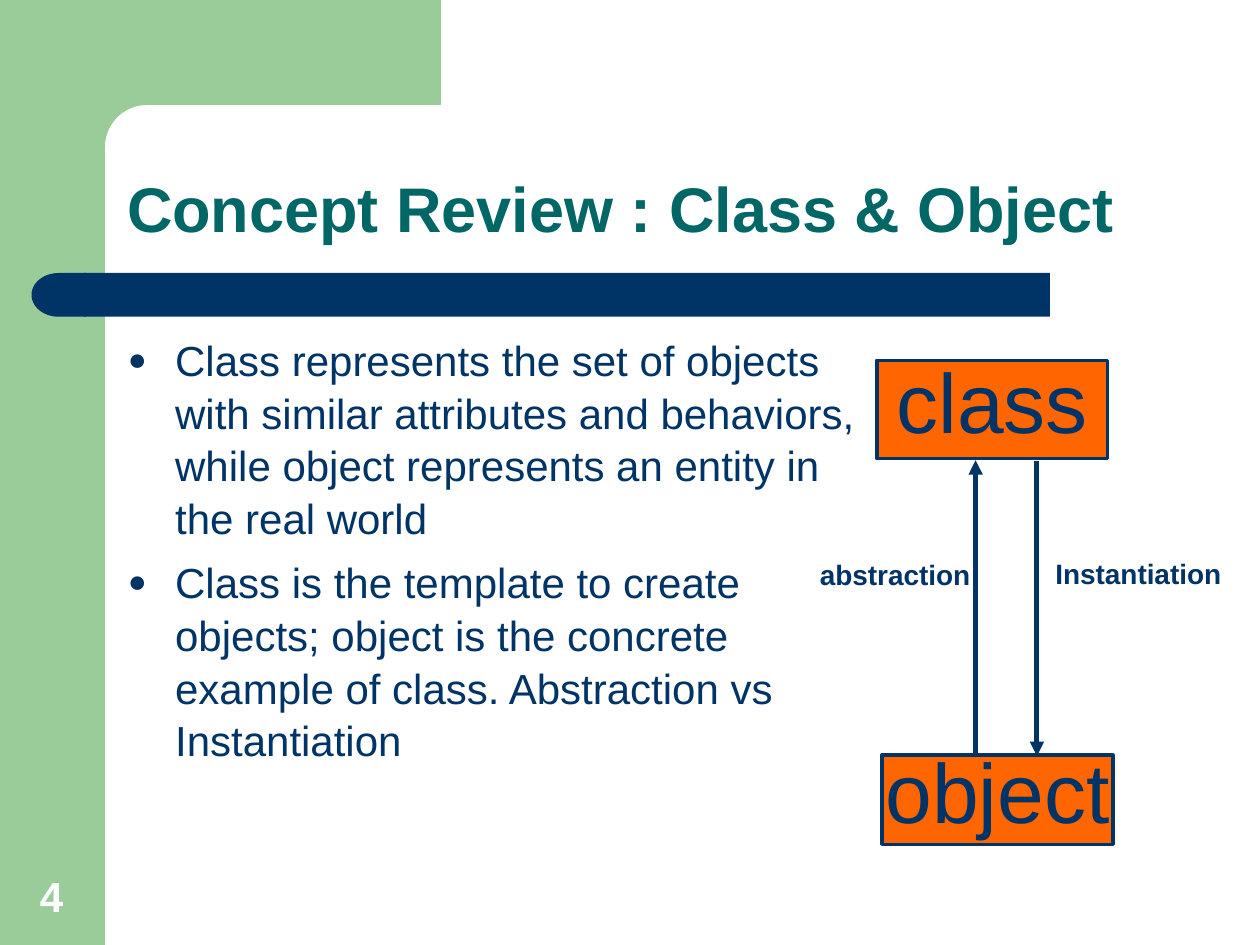
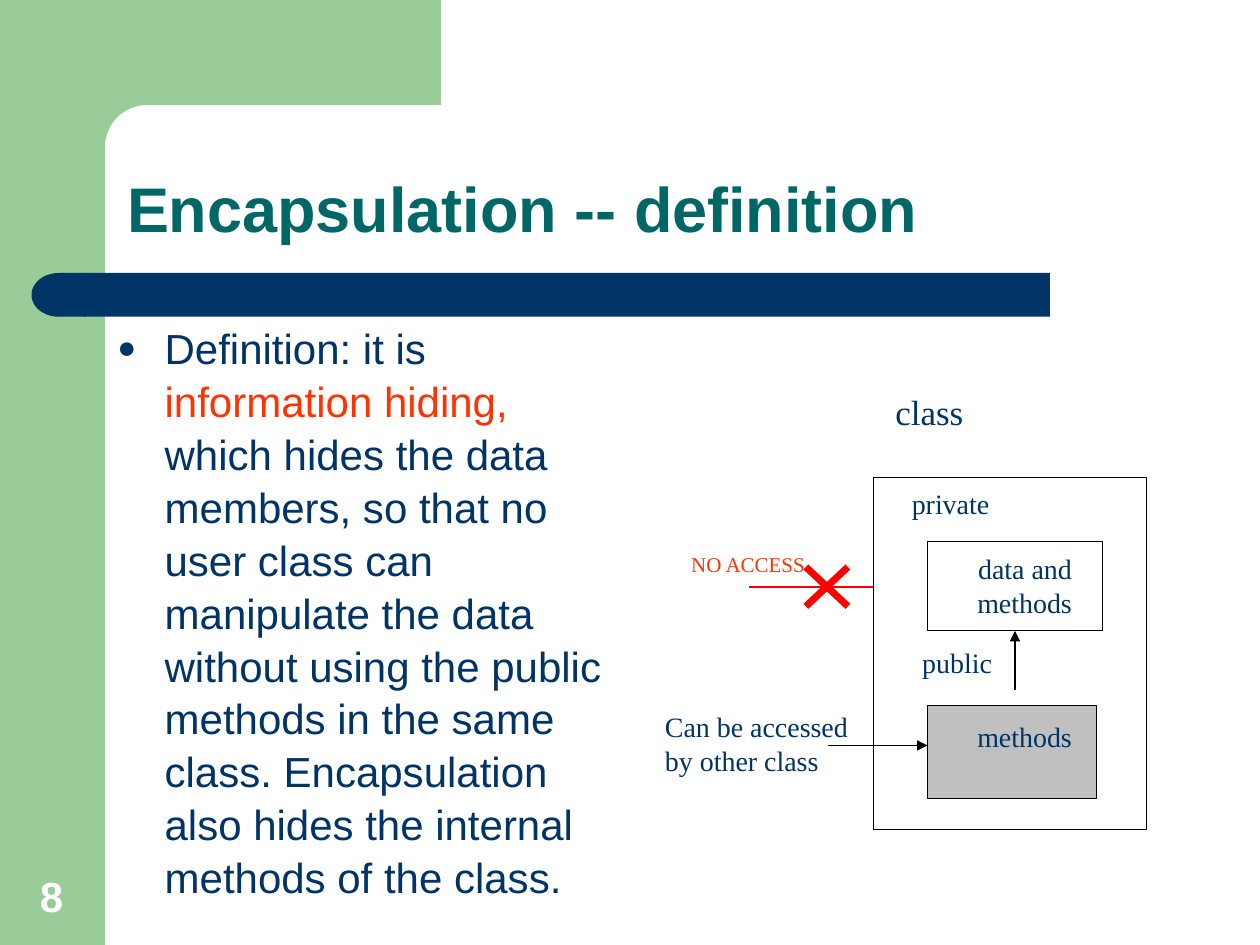
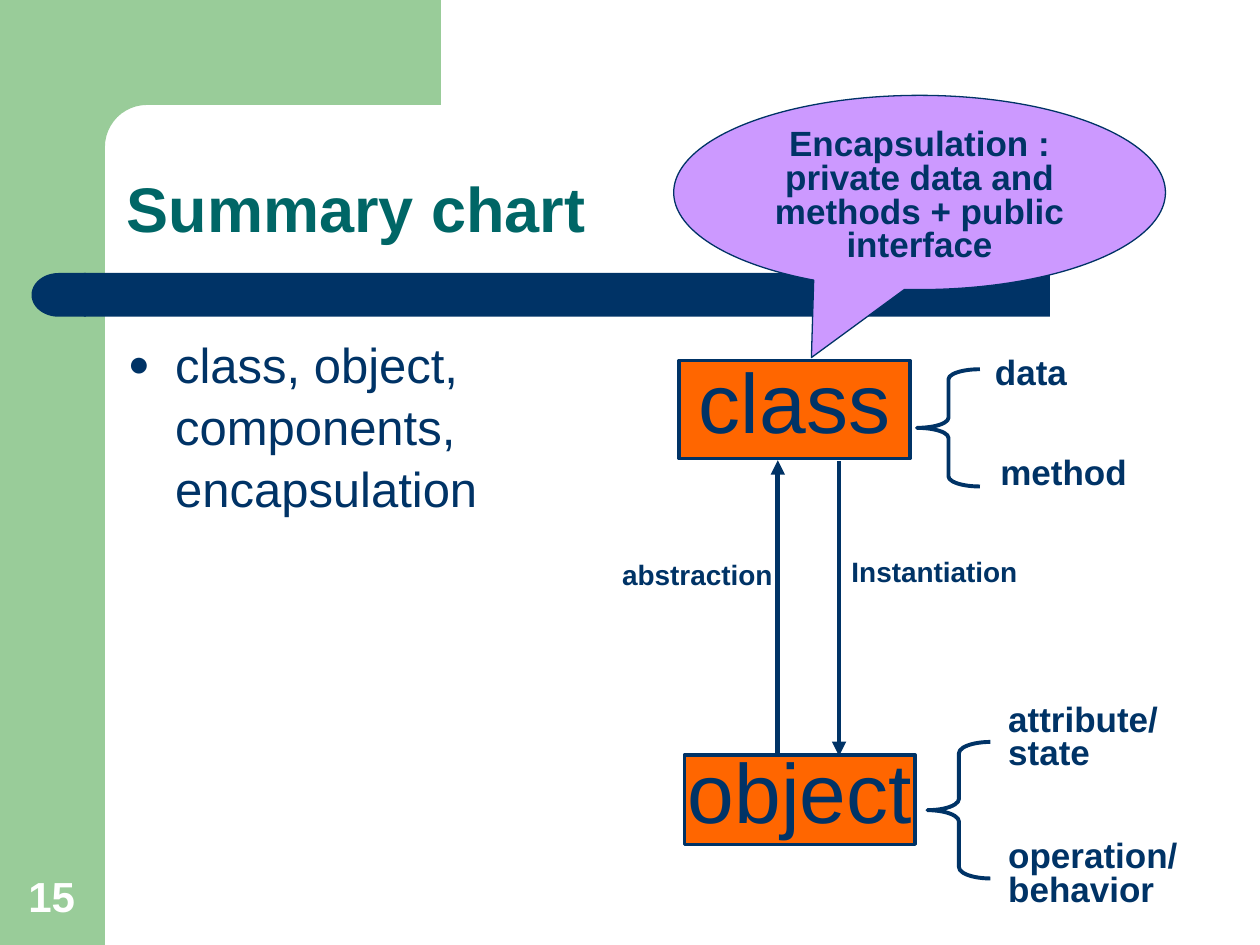
from math import cos, pi, sin

from pptx import Presentation
from pptx.dml.color import RGBColor
from pptx.enum.shapes import MSO_CONNECTOR, MSO_SHAPE
from pptx.enum.text import MSO_ANCHOR, PP_ALIGN
from pptx.oxml.ns import qn
from pptx.oxml.xmlchemy import OxmlElement
from pptx.util import Pt

COLORS = {
    "green": "99CC99", "navy": "003366", "teal": "006666", "orange": "FF6600",
    "violet": "CC99FF", "gray": "C0C0C0", "white": "FFFFFF", "black": "000000",
    "red": "FF0000", "accent": "FF3300",
}

# Font and paragraph values of each kind of text
FORMATS = {
    "title": {"size": 36, "bold": True, "color": "teal", "line_spacing": 0.9},
    "number": {"size": 24, "bold": True, "color": "white", "alignment": PP_ALIGN.CENTER},
    "body": {"size": 24, "line_spacing": 1.05, "space_before": 6, "hanging": 27},
    "large body": {"size": 28, "line_spacing": 1.05, "space_before": 7, "hanging": 27},
    "box": {"size": 48, "alignment": PP_ALIGN.CENTER, "line_spacing": 0.8, "space_before": 12},
    "arrow label": {"size": 16, "bold": True, "alignment": PP_ALIGN.CENTER,
                    "line_spacing": 0.8, "space_before": 10},
    "part": {"size": 20, "bold": True, "line_spacing": 0.8, "space_before": 12.5},
    "callout": {"size": 20, "bold": True, "alignment": PP_ALIGN.CENTER, "line_spacing": 0.8},
    "heading": {"size": 20, "name": "Times New Roman", "line_spacing": 0.8, "space_before": 5},
    "note": {"size": 16, "name": "Times New Roman", "line_spacing": 0.8, "space_before": 4},
}
FORMATS["right note"] = FORMATS["note"] | {"alignment": PP_ALIGN.RIGHT}
FORMATS["warning"] = FORMATS["right note"] | {"size": 12, "color": "accent"}


def rgb(color):
    return RGBColor.from_string(COLORS[color])


def add_xml(parent, tag, **attributes):
    element = OxmlElement(tag)
    for name, value in attributes.items():
        element.set(name, str(value))
    parent.append(element)


class Deck:
    """Holds the presentation style and the current slide."""

    def __init__(self):
        self.presentation = Presentation()
        self.presentation.slide_width = Pt(720)
        self.presentation.slide_height = Pt(540)
        self.slide = None

    def new_slide(self, title, number, title_width=613):
        self.slide = self.presentation.slides.add_slide(self.presentation.slide_layouts[6])
        # Green side band and rounded corner
        self.shape(MSO_SHAPE.RECTANGLE, (0, 0, 60, 540), "green")
        angles = [step * pi / 24 for step in range(13)]
        arc = [(84 - 24 * sin(angle), 84 - 24 * cos(angle)) for angle in angles]
        self.outline([(252, 0), (252, 60), *arc, (60, 92), (36, 92), (36, 0)], "green")
        # Navy bar with round left end
        self.shape(MSO_SHAPE.RECTANGLE, (48, 156, 552, 25), "navy")
        self.shape(MSO_SHAPE.FLOWCHART_DELAY, (18, 156, 31, 25), "navy").rotation = 180
        self.text((6.5, 492, 46, 38), [number], "number", anchor=MSO_ANCHOR.BOTTOM)
        self.text((65.5, 65.5, title_width, 78.5), [title], "title", anchor=MSO_ANCHOR.BOTTOM)

    def paint(self, shape, fill, line=None, weight=0.75):
        shape.shadow.inherit = False
        if fill:
            shape.fill.solid()
            shape.fill.fore_color.rgb = rgb(fill)
        else:
            shape.fill.background()
        if line:
            shape.line.color.rgb = rgb(line)
            shape.line.width = Pt(weight)
        else:
            shape.line.fill.background()
        return shape

    def shape(self, kind, box, fill, line=None, weight=0.75, adjustments=()):
        shape = self.slide.shapes.add_shape(kind, *map(Pt, box))
        for index, value in enumerate(adjustments):
            shape.adjustments[index] = value
        return self.paint(shape, fill, line, weight)

    def outline(self, points, fill):
        corners = [(Pt(x), Pt(y)) for x, y in points]
        builder = self.slide.shapes.build_freeform(*corners[0])
        builder.add_line_segments(corners[1:], close=True)
        return self.paint(builder.convert_to_shape(), fill)

    def text(self, box, paragraphs, style, anchor=MSO_ANCHOR.TOP, inset=True, bullet=False):
        shape = self.slide.shapes.add_textbox(*map(Pt, box))
        self.fill_text(shape, paragraphs, style, anchor, inset, bullet=bullet)
        return shape

    def fill_text(self, shape, paragraphs, style, anchor=MSO_ANCHOR.TOP, inset=True,
                  wrap=True, bullet=False):
        """Fill a shape; a paragraph is a string or a list of (text, color) runs."""
        values = FORMATS[style]
        horizontal, vertical = (7.2, 3.6) if inset else (0, 0)
        frame_values = {
            "word_wrap": wrap, "vertical_anchor": anchor,
            "margin_left": Pt(horizontal), "margin_right": Pt(horizontal),
            "margin_top": Pt(vertical), "margin_bottom": Pt(vertical),
        }
        frame = shape.text_frame
        for name, value in frame_values.items():
            setattr(frame, name, value)
        for index, content in enumerate(paragraphs):
            paragraph = frame.paragraphs[0] if index == 0 else frame.add_paragraph()
            paragraph_values = {
                "alignment": values.get("alignment", PP_ALIGN.LEFT),
                "line_spacing": values.get("line_spacing", 1.0),
                "space_before": Pt(values.get("space_before", 0)),
            }
            for name, value in paragraph_values.items():
                setattr(paragraph, name, value)
            if bullet:
                self.bullet(paragraph, values["hanging"])
            runs = [(content, values.get("color", "navy"))] if isinstance(content, str) else content
            for text, color in runs:
                run = paragraph.add_run()
                run.text = text
                font_values = {
                    "name": values.get("name", "Arial"), "size": Pt(values["size"]),
                    "bold": values.get("bold", False),
                }
                for name, value in font_values.items():
                    setattr(run.font, name, value)
                run.font.color.rgb = rgb(color)

    def bullet(self, paragraph, hanging):
        properties = paragraph._p.get_or_add_pPr()
        properties.set("marL", str(Pt(hanging)))
        properties.set("indent", str(-Pt(hanging)))
        add_xml(properties, "a:buSzPct", val=75000)
        add_xml(properties, "a:buFont", typeface="Arial")
        add_xml(properties, "a:buChar", char="●")

    def line(self, start, end, color, weight=0.75, arrow=True):
        connector = self.slide.shapes.add_connector(
            MSO_CONNECTOR.STRAIGHT, *map(Pt, (*start, *end)))
        connector.line.color.rgb = rgb(color)
        connector.line.width = Pt(weight)
        properties = connector.element.spPr
        if arrow:
            add_xml(properties.find(qn("a:ln")), "a:tailEnd", type="triangle")
        add_xml(properties, "a:effectLst")
        return connector

    def class_and_object(self, left, label_left, label_top):
        """Class and object boxes joined by two labelled arrows."""
        for name, box in (("class", (left, 206, 132, 56)), ("object", (left + 3, 431.5, 132, 51))):
            shape = self.shape(MSO_SHAPE.RECTANGLE, box, "orange", "navy", 2)
            self.fill_text(shape, [name], "box", MSO_ANCHOR.MIDDLE, wrap=False)
        up, down = left + 56.5, left + 91.5
        self.line((up, 431.5), (up, 263), "navy", 2.75)
        self.line((down, 263.5), (down, 432), "navy", 2.75)
        self.text((left - 40.5, 319, 102, 24), ["abstraction"], "arrow label")
        self.text((label_left, label_top, 110, 22), ["Instantiation"], "arrow label")


def build_concept_review(deck):
    deck.new_slide("Concept Review : Class & Object", "4")
    deck.text((66, 186, 433, 336), [
        "Class represents the set of objects with similar attributes and behaviors, "
        "while object represents an entity in the real world",
        "Class is the template to create objects; object is the concrete example of class. "
        "Abstraction vs Instantiation",
    ], "body", bullet=True)
    deck.class_and_object(501, 595.5, 318)


def build_encapsulation(deck):
    deck.new_slide("Encapsulation -- definition", "8")
    deck.text((60, 179.5, 297, 339), [[
        ("Definition: it is ", "navy"),
        ("information hiding,", "accent"),
        (" which hides the data members, so that no user class can manipulate the data "
         "without using the public methods in the same class. Encapsulation also hides "
         "the internal methods of the class.", "navy"),
    ]], "body", bullet=True)

    # Class box with its private and public parts
    deck.line((428, 335.5), (524, 335.5), "red")
    deck.shape(MSO_SHAPE.RECTANGLE, (499, 273, 156, 201), "white", "black")
    deck.text((504.5, 224.5, 62, 31), ["class"], "heading")
    data_box = deck.shape(MSO_SHAPE.RECTANGLE, (530, 309.5, 100, 51), "white", "black")
    deck.shape(MSO_SHAPE.RECTANGLE, (530, 403, 96.5, 53.5), "gray", "black")
    notes = [
        ((521, 281.5, 48, 20), ["private"], "note"),
        ((527, 372.5, 45, 14), ["public"], "note"),
        ((380, 409, 119, 37), ["Can be accessed", "by other class"], "note"),
        ((550, 319, 62.5, 40), ["data and", "methods"], "right note"),
        ((550, 415, 62.5, 19), ["methods"], "right note"),
        ((385, 318, 75, 19), ["NO ACCESS"], "warning"),
    ]
    for box, lines, style in notes:
        deck.text(box, lines, style, inset=False)
    deck.line((473, 426), (530, 426), "black")
    deck.line((580, 394.5), (580, 360.5), "black").end_connect(data_box, 2)

    # Cross over the forbidden access
    for top, bottom in ((324, 346.5), (346.5, 324)):
        deck.line((460.5, top), (484.5, bottom), "red", 4, arrow=False)


def build_summary(deck):
    deck.new_slide("Summary chart", "15", title_width=297)
    deck.text((66, 186, 243, 302), ["class, object, components, encapsulation"],
              "large body", bullet=True)
    deck.class_and_object(388, 479, 317)

    # Braces and the parts they gather
    for box, curve in (((530, 424, 36, 78), 0.18), ((524, 211, 36, 67), 0.16)):
        deck.shape(MSO_SHAPE.LEFT_BRACE, box, None, "navy", 2.25, (curve, 0.5))
    parts = [
        ((569, 399.5, 126, 46), "attribute/ state"),
        ((569, 477.5, 120, 46), "operation/ behavior"),
        ((561.5, 201.5, 80, 27), "data"),
        ((564.5, 258.5, 109, 27), "method"),
    ]
    for box, label in parts:
        deck.text(box, [label], "part")

    # Callout, its first line set a little to the left
    callout = deck.shape(MSO_SHAPE.OVAL_CALLOUT, (385, 54.5, 281, 111), "violet", "navy",
                         adjustments=(-0.22, 0.85))
    deck.fill_text(callout, ["Encapsulation :", "private data and methods + public interface"],
                   "callout")
    callout.text_frame.paragraphs[0]._p.get_or_add_pPr().set("indent", str(-Pt(23)))


def main():
    deck = Deck()
    build_concept_review(deck)
    build_encapsulation(deck)
    build_summary(deck)
    deck.presentation.save("out.pptx")


if __name__ == "__main__":
    main()
